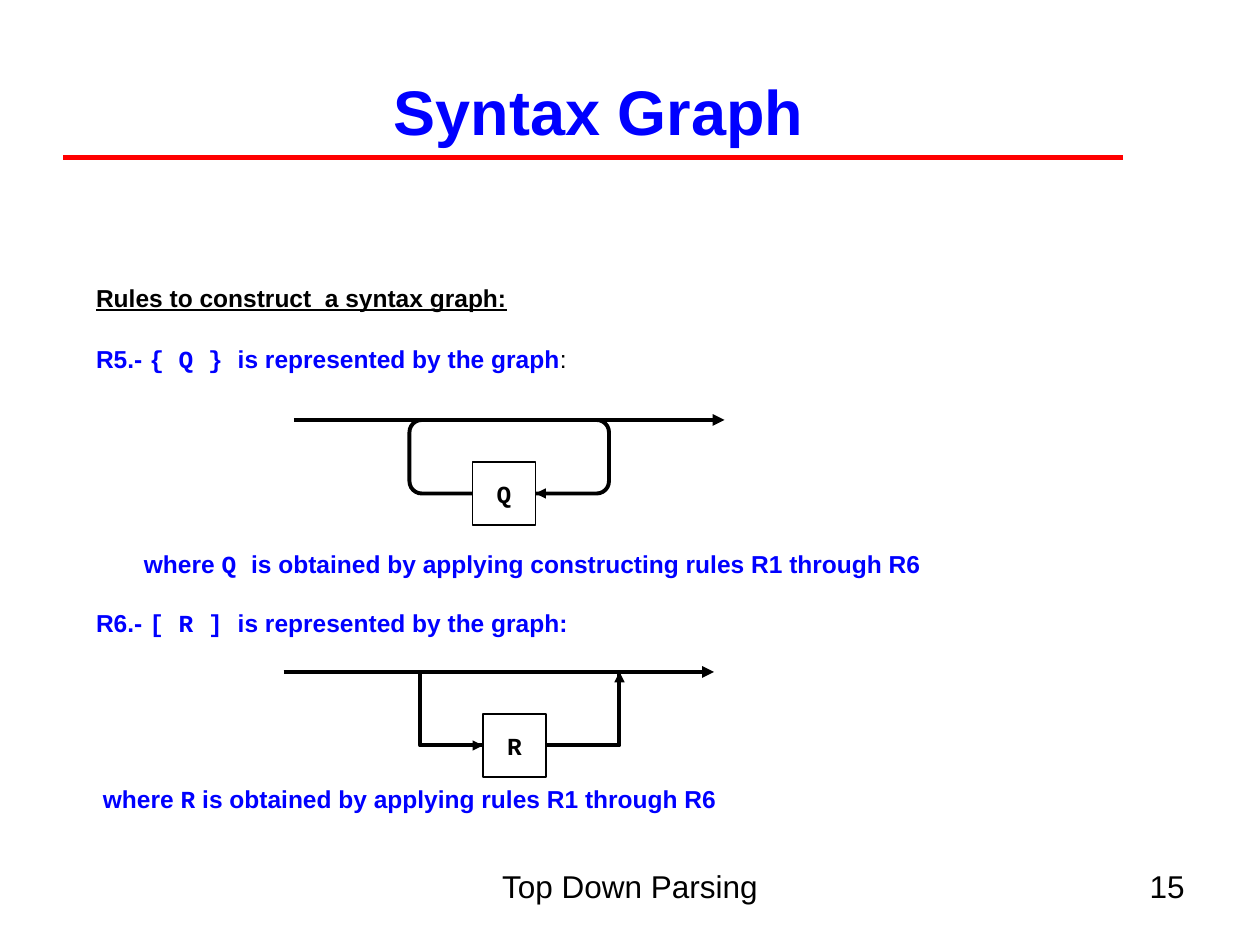
from lxml.etree import SubElement
from pptx import Presentation
from pptx.dml.color import RGBColor
from pptx.enum.shapes import MSO_CONNECTOR, MSO_SHAPE
from pptx.enum.text import MSO_ANCHOR, PP_ALIGN
from pptx.oxml.ns import qn
from pptx.util import Pt

COLORS = {"ink": "000000", "blue": "0000FF", "red": "FF0000", "white": "FFFFFF"}
SANS, MONO = "Arial", "Courier New"

RULES = [
    (0, 0, "ink", [("Rules to construct  a syntax graph:", SANS)]),
    (18, 0, "blue", [("R5.- ", SANS), ("{ Q } ", MONO),
                     ("is represented by the graph", SANS), (":", SANS)]),
    (100.8, 27.3, "blue", [("where ", SANS), ("Q ", MONO),
                           ("is obtained by applying constructing rules R1 through R6", SANS)]),
    (16.8, 0, "blue", [("R6.- ", SANS), ("[ R ] ", MONO),
                       ("is represented by the graph:", SANS)]),
    (83.7, 3.9, "blue", [("where ", SANS), ("R", MONO),
                         (" is obtained by applying rules R1 through R6", SANS)]),
]


def color(name):
    return RGBColor.from_string(COLORS[name])


def style(font, size, tint, bold=False, face=None):
    font.size = Pt(size)
    font.bold = bold
    font.color.rgb = color(tint)
    if face:
        font.name = face


def add_label(slide, text, box, size, tint="ink", bold=False, align=PP_ALIGN.CENTER,
              anchor=MSO_ANCHOR.TOP):
    frame = slide.shapes.add_textbox(*map(Pt, box)).text_frame
    frame.word_wrap = True
    frame.vertical_anchor = anchor
    para = frame.paragraphs[0]
    para.text = text
    para.alignment = align
    style(para.font, size, tint, bold, SANS)


def add_rules(slide):
    frame = slide.shapes.add_textbox(Pt(54.9), Pt(161.6), Pt(520), Pt(304)).text_frame
    frame.word_wrap = True
    frame.margin_left = frame.margin_right = frame.margin_top = frame.margin_bottom = 0
    for i, (gap, indent, tint, parts) in enumerate(RULES):
        para = frame.add_paragraph() if i else frame.paragraphs[0]
        para.space_before = Pt(gap)
        para._p.get_or_add_pPr().set("marL", str(Pt(indent)))
        style(para.font, 14, tint, True)
        for text, face in parts:
            run = para.add_run()
            run.text = text
            run.font.name = face
    frame.paragraphs[0].font.underline = True
    colon = frame.paragraphs[1].runs[-1].font
    colon.bold = False
    colon.color.rgb = color("ink")


def add_line(slide, start, end, width, tint="ink", arrow=True):
    line = slide.shapes.add_connector(MSO_CONNECTOR.STRAIGHT, *map(Pt, start + end))
    line.line.width = Pt(width)
    line.line.color.rgb = color(tint)
    if arrow:
        SubElement(line.line._get_or_add_ln(), qn("a:tailEnd"), type="triangle")
    SubElement(line._element.spPr, qn("a:effectLst"))


def add_box(slide, kind, box, width, fill=None):
    shape = slide.shapes.add_shape(kind, *map(Pt, box))
    shape.shadow.inherit = False
    shape.line.width = Pt(width)
    shape.line.color.rgb = color("ink")
    if fill:
        shape.fill.solid()
        shape.fill.fore_color.rgb = color(fill)
    else:
        shape.fill.background()
    return shape


def add_graph(slide, name, kind, left, top):
    add_line(slide, (left, top), (left + 246, top), 2.25)
    loop = 234 if name == "Q" else 240
    add_box(slide, kind, (loop, top, 114, 42), 2.25)
    node = add_box(slide, MSO_SHAPE.RECTANGLE, (loop + 36, top + 24, 36, 36), 0.75, "white")
    frame = node.text_frame
    frame.word_wrap = False
    frame.vertical_anchor = MSO_ANCHOR.MIDDLE
    para = frame.paragraphs[0]
    para.text = name
    para.alignment = PP_ALIGN.CENTER
    style(para.font, 14, "ink", True, MONO)


def main():
    deck = Presentation()
    deck.slide_width, deck.slide_height = Pt(720), Pt(540)
    slide = deck.slides.add_slide(deck.slide_layouts[6])
    add_label(slide, "Top Down Parsing", (246, 492, 228, 37.5), 18)
    add_label(slide, "15", (516, 492, 168, 37.5), 18, align=PP_ALIGN.RIGHT)
    add_label(slide, "Syntax Graph", (18, 18, 648, 90), 36, "blue", True,
              anchor=MSO_ANCHOR.MIDDLE)
    add_line(slide, (36, 90), (642, 90), 3, "red", False)
    add_rules(slide)
    add_graph(slide, "Q", MSO_SHAPE.FLOWCHART_ALTERNATE_PROCESS, 168, 240)
    add_line(slide, (324, 282), (306, 282), 0.75)
    add_graph(slide, "R", MSO_SHAPE.RECTANGLE, 162, 384)
    add_line(slide, (354, 396), (354, 384), 0.75)
    add_line(slide, (258, 426), (276, 426), 0.75)
    deck.save("out.pptx")


if __name__ == "__main__":
    main()
